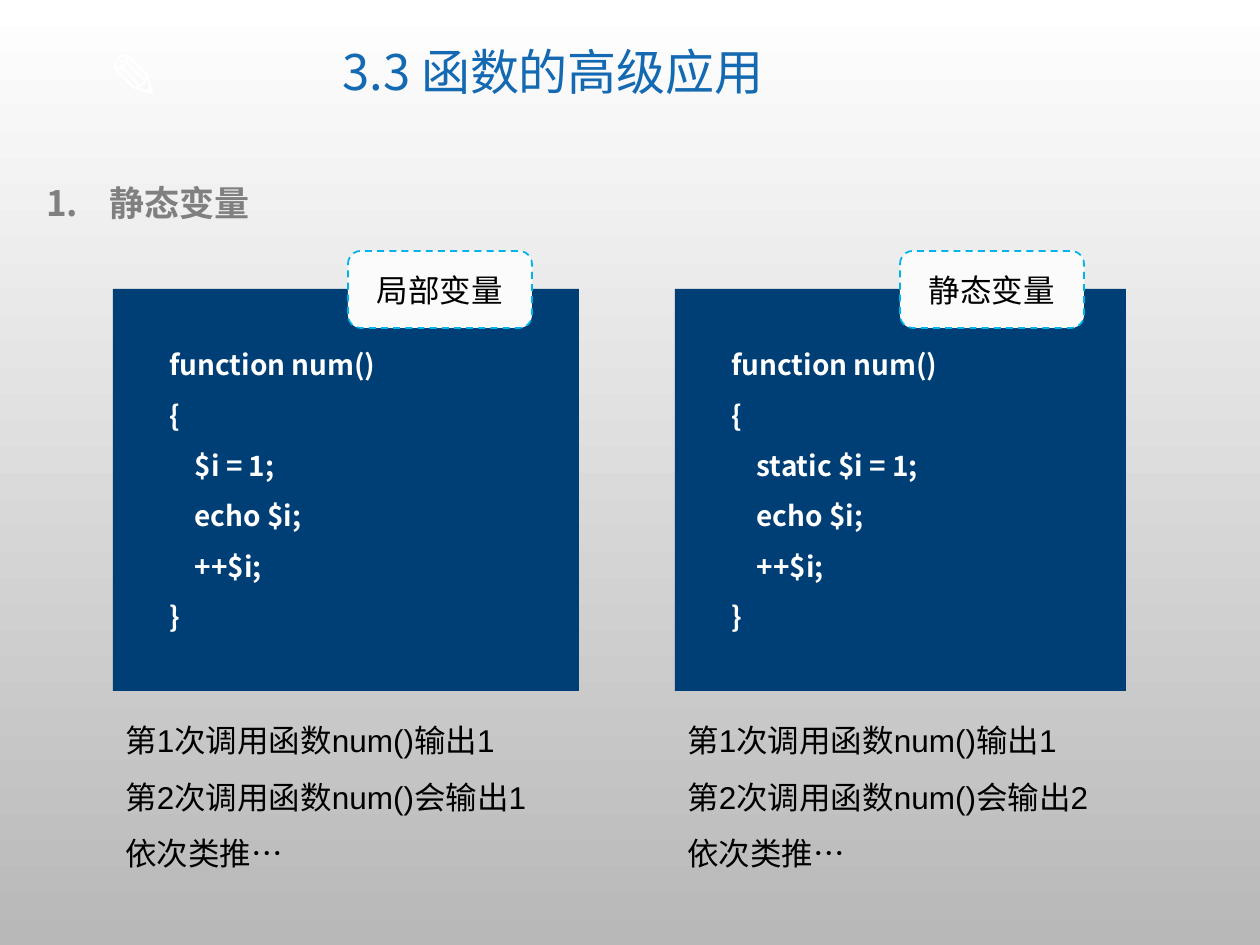
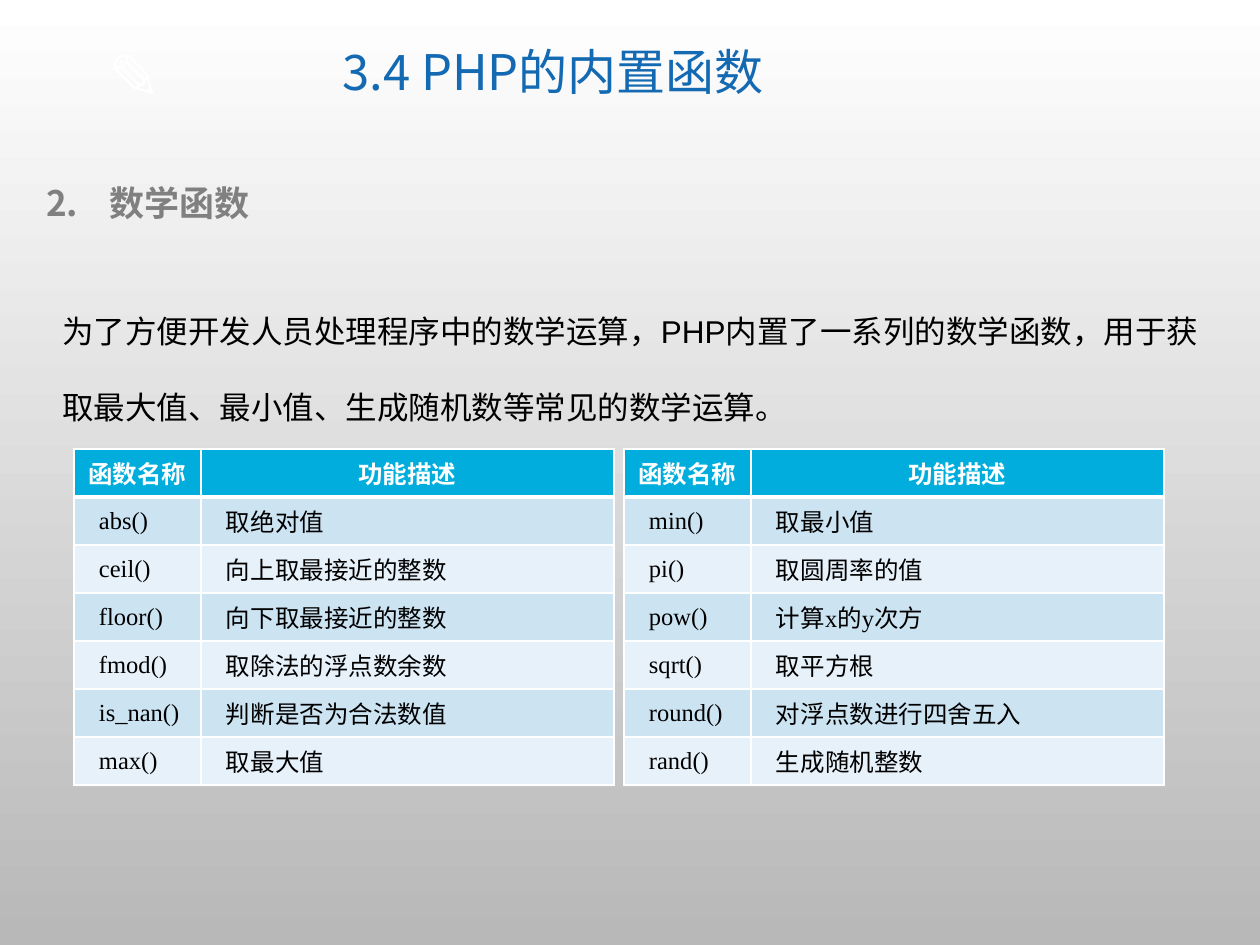
"""Build two lecture slides on PHP variables and built-in functions."""
from dataclasses import dataclass

from lxml import etree
from pptx import Presentation
from pptx.dml.color import RGBColor
from pptx.enum.dml import MSO_LINE
from pptx.enum.shapes import MSO_SHAPE
from pptx.enum.text import MSO_ANCHOR, MSO_AUTO_SIZE, PP_ALIGN
from pptx.oxml.ns import qn
from pptx.util import Pt

RECT, ROUNDED = MSO_SHAPE.RECTANGLE, MSO_SHAPE.ROUNDED_RECTANGLE
TOP, MIDDLE = MSO_ANCHOR.TOP, MSO_ANCHOR.MIDDLE
LEFT, CENTER, JUSTIFY = PP_ALIGN.LEFT, PP_ALIGN.CENTER, PP_ALIGN.JUSTIFY
GROW, FIXED = MSO_AUTO_SIZE.SHAPE_TO_FIT_TEXT, MSO_AUTO_SIZE.NONE
DASH = MSO_LINE.DASH


@dataclass(frozen=True)
class Style:
    font: str
    size: int
    color: str
    bold: bool = False
    align: PP_ALIGN = LEFT
    spacing: float = 1.0


@dataclass(frozen=True)
class Theme:
    cjk: str = "Noto Sans CJK SC"
    white: str = "FFFFFF"
    backdrop: tuple = ("FFFFFF", "B8B8B8")
    panel: str = "003F75"
    tag: str = "FBFBFB"
    tag_edge: str = "00B4E9"
    header: str = "00ADDC"
    bands: tuple = ("CCE3F2", "E7F1F9")
    pencil: Style = Style("Noto Sans CJK SC", 36, "FFFFFF", True)
    title: Style = Style("Noto Sans CJK SC", 28, "1369B2", False, CENTER, 0.9)
    heading: Style = Style("Noto Sans CJK SC", 20, "808080", True)
    code: Style = Style("Noto Sans CJK SC", 16, "FFFFFF", True, LEFT, 1.5)
    tag_text: Style = Style("Calibri", 18, "000000", False, CENTER)
    results: Style = Style("Arial", 18, "000000", False, LEFT, 1.5)
    intro: Style = Style("Arial", 18, "000000", False, LEFT, 2.0)
    column_head: Style = Style("Calibri", 14, "FFFFFF", True, CENTER)
    entry: Style = Style("Times New Roman", 14, "000000", False, JUSTIFY)


THEME = Theme()
PX = 914400 / 126
WIDTH, HEIGHT = 1260, 945

EXAMPLES = [
    {"tag": "局部变量", "declaration": "$i = 1;", "second": 1,
     "left": 113, "width": 466, "tag_left": 348},
    {"tag": "静态变量", "declaration": "static $i = 1;", "second": 2,
     "left": 675, "width": 451, "tag_left": 900},
]
INTRO = ("为了方便开发人员处理程序中的数学运算，PHP内置了一系列的数学函数，"
         "用于获取最大值、最小值、生成随机数等常见的数学运算。")
COLUMN_HEADS = ("函数名称", "功能描述")
MATH_FUNCTIONS = [
    ("abs()", "取绝对值"),
    ("ceil()", "向上取最接近的整数"),
    ("floor()", "向下取最接近的整数"),
    ("fmod()", "取除法的浮点数余数"),
    ("is_nan()", "判断是否为合法数值"),
    ("max()", "取最大值"),
    ("min()", "取最小值"),
    ("pi()", "取圆周率的值"),
    ("pow()", "计算x的y次方"),
    ("sqrt()", "取平方根"),
    ("round()", "对浮点数进行四舍五入"),
    ("rand()", "生成随机整数"),
]
TABLE_LEFT, TABLE_TOP, TABLE_STEP = 74, 449, 550
COLUMN_WIDTHS, ROW_HEIGHT, ROWS_PER_TABLE = (127, 413), 48, 6


def emu(*lengths):
    return [round(length * PX) for length in lengths]


def rgb(color):
    return RGBColor.from_string(color)


def write(frame, lines, style):
    for index, line in enumerate(lines):
        paragraph = frame.add_paragraph() if index else frame.paragraphs[0]
        paragraph.text = line
        paragraph.alignment = style.align
        paragraph.line_spacing = style.spacing
        font = paragraph.font
        font.name, font.size, font.bold = style.font, Pt(style.size), style.bold
        font.color.rgb = rgb(style.color)
        defaults = paragraph._p.pPr.find(qn("a:defRPr"))
        etree.SubElement(defaults, qn("a:ea"), typeface=THEME.cjk)


def add_text(shapes, box, lines, style, anchor=TOP, wrap=True):
    frame = shapes.add_textbox(*emu(*box)).text_frame
    frame.word_wrap = wrap
    frame.vertical_anchor = anchor
    frame.auto_size = GROW if anchor == TOP else FIXED
    write(frame, lines, style)
    return frame


def add_block(shapes, kind, box, fill):
    block = shapes.add_shape(kind, *emu(*box))
    block.shadow.inherit = False
    block.fill.solid()
    block.fill.fore_color.rgb = rgb(fill)
    block.line.fill.background()
    return block


def indent(paragraph, left, first=0):
    properties = paragraph._p.get_or_add_pPr()
    for key, length in zip(("marL", "indent"), emu(left, first)):
        properties.set(key, str(length))
    return properties


def add_heading(shapes, number, text):
    frame = add_text(shapes, (34, 175, 1162, 55), [], THEME.heading)
    properties = indent(frame.paragraphs[0], 63, -63)
    etree.SubElement(properties, qn("a:buAutoNum"),
                     type="arabicPeriod", startAt=str(number))
    write(frame, [text], THEME.heading)


def start_slide(deck, title, number, heading):
    slide = deck.slides.add_slide(deck.slide_layouts[6])
    fill = slide.background.fill
    fill.gradient()
    fill.gradient_angle = 270
    for stop, color in zip(fill.gradient_stops, THEME.backdrop):
        stop.color.rgb = rgb(color)
    add_text(slide.shapes, (96, 30, 108, 89), ["✎"], THEME.pencil, wrap=False)
    add_text(slide.shapes, (228, 21, 650, 107), [title], THEME.title, MIDDLE)
    add_heading(slide.shapes, number, heading)
    return slide.shapes


def add_example(shapes, example):
    left, width = example["left"], example["width"]
    panel = shapes.add_group_shape().shapes
    add_block(panel, RECT, (left, 289, width, 402), THEME.panel)
    code = ["function num()", "{", f"    {example['declaration']}",
            "    echo $i;", "    ++$i;", "}"]
    add_text(panel, (left + 44, 325, width - 44, 318), code, THEME.code)
    results = ["第1次调用函数num()输出1",
               f"第2次调用函数num()会输出{example['second']}", "依次类推…"]
    add_text(shapes, (left, 696, 495, 185), results, THEME.results)
    tag = add_block(shapes, ROUNDED, (example["tag_left"], 251, 184, 77), THEME.tag)
    tag.line.color.rgb = rgb(THEME.tag_edge)
    tag.line.width = Pt(1)
    tag.line.dash_style = DASH
    tag.text_frame.vertical_anchor = MIDDLE
    write(tag.text_frame, [example["tag"]], THEME.tag_text)


def add_borders(cell, row):
    widths = {"L": 1, "R": 1, "T": 3 if row == 1 else 1, "B": 3 if row == 0 else 1}
    properties = cell._tc.get_or_add_tcPr()
    for side, width in widths.items():
        edge = etree.SubElement(properties, qn(f"a:ln{side}"), w=str(Pt(width)))
        fill = etree.SubElement(edge, qn("a:solidFill"))
        etree.SubElement(fill, qn("a:srgbClr"), val=THEME.white)


def add_function_table(shapes, left, functions):
    rows = [COLUMN_HEADS, *functions]
    box = emu(left, TABLE_TOP, sum(COLUMN_WIDTHS), ROW_HEIGHT * len(rows))
    table = shapes.add_table(len(rows), len(COLUMN_HEADS), *box).table
    for column, width in zip(table.columns, emu(*COLUMN_WIDTHS)):
        column.width = width
    for row, texts in enumerate(rows):
        for column, text in enumerate(texts):
            cell = table.cell(row, column)
            add_borders(cell, row)
            cell.fill.solid()
            fill = THEME.bands[(row - 1) % 2] if row else THEME.header
            cell.fill.fore_color.rgb = rgb(fill)
            cell.vertical_anchor = MIDDLE
            cell.margin_left, cell.margin_right = emu(10, 10)
            cell.margin_top = cell.margin_bottom = 0
            if row:
                indent(cell.text_frame.paragraphs[0], 15)
            write(cell.text_frame, [text], THEME.entry if row else THEME.column_head)


def main():
    deck = Presentation()
    deck.slide_width, deck.slide_height = emu(WIDTH, HEIGHT)

    variables = start_slide(deck, "3.3 函数的高级应用", 1, "静态变量")
    for example in EXAMPLES:
        add_example(variables, example)

    builtins = start_slide(deck, "3.4 PHP的内置函数", 2, "数学函数")
    add_text(builtins, (50, 268, 1174, 154), [INTRO], THEME.intro)
    for index, first in enumerate(range(0, len(MATH_FUNCTIONS), ROWS_PER_TABLE)):
        add_function_table(builtins, TABLE_LEFT + index * TABLE_STEP,
                           MATH_FUNCTIONS[first:first + ROWS_PER_TABLE])

    deck.save("out.pptx")


if __name__ == "__main__":
    main()
